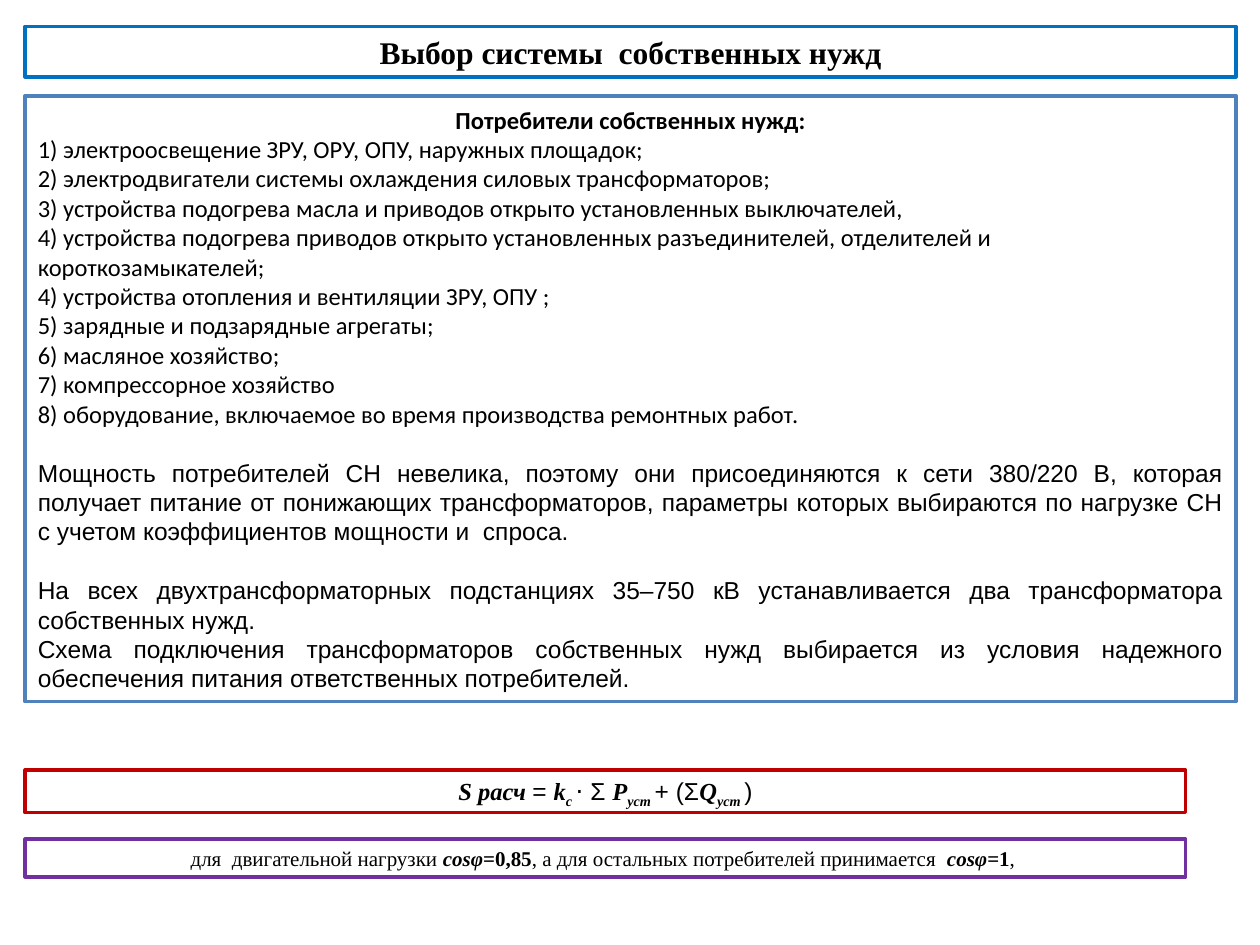
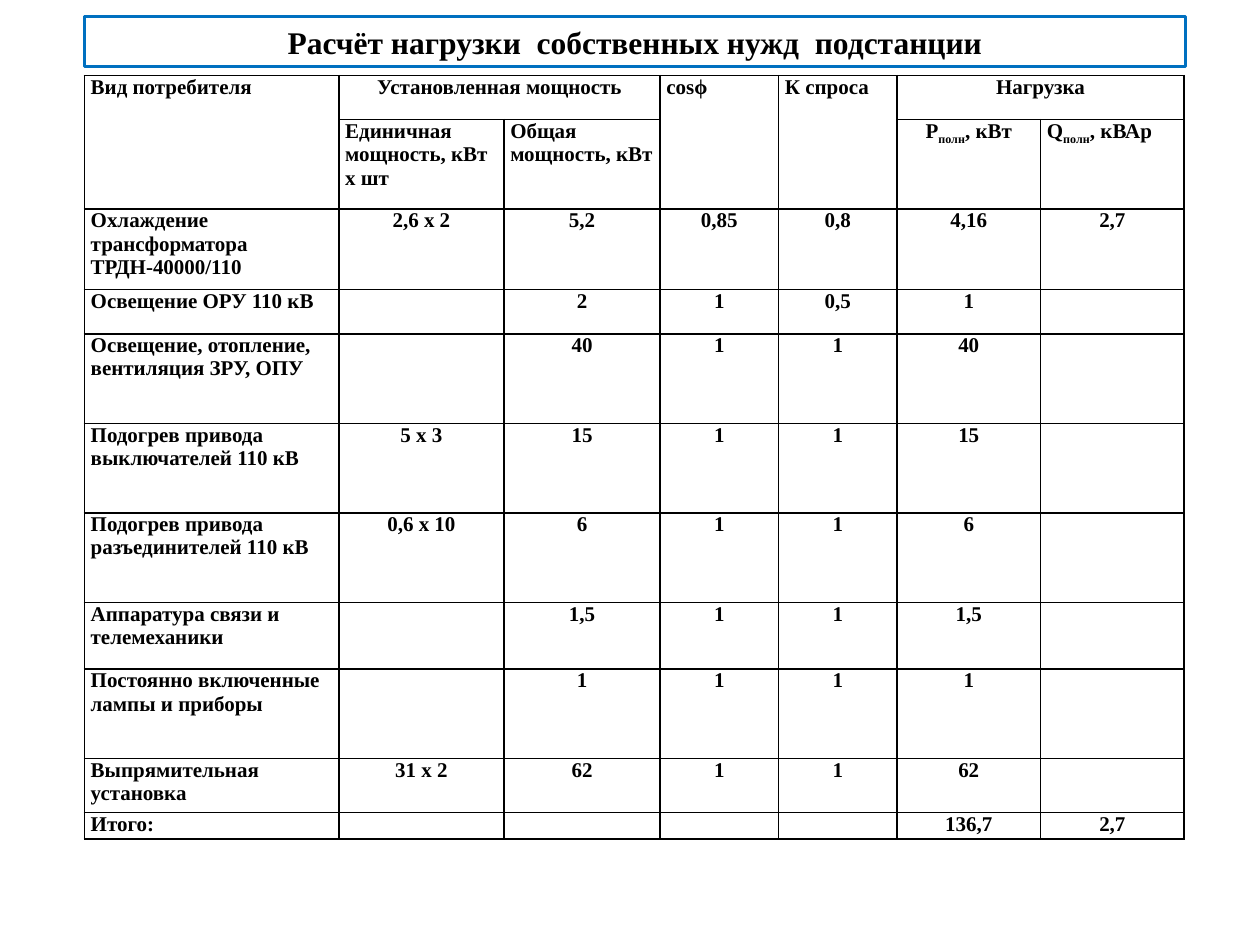
from lxml.etree import SubElement
from pptx import Presentation
from pptx.dml.color import RGBColor
from pptx.enum.text import MSO_ANCHOR, MSO_AUTO_SIZE, PP_ALIGN
from pptx.oxml.ns import qn
from pptx.util import Inches, Pt

WIDTH, HEIGHT = Inches(10), Inches(7.5)
BLACK = RGBColor(0, 0, 0)
TITLE_BLUE = RGBColor(0x00, 0x70, 0xC0)
BODY_BLUE = RGBColor(0x4F, 0x81, 0xBD)
RED = RGBColor(0xC0, 0x00, 0x00)
PURPLE = RGBColor(0x70, 0x30, 0xA0)
SERIF, SANS, LIST_FONT = "Times New Roman", "Arial", "Calibri"
LEFT, CENTER, JUSTIFY = PP_ALIGN.LEFT, PP_ALIGN.CENTER, PP_ALIGN.JUSTIFY
BODY_LINE = Pt(16.8)

CONSUMERS = [
    "1) электроосвещение ЗРУ, ОРУ, ОПУ, наружных площадок;",
    "2) электродвигатели системы охлаждения силовых трансформаторов;",
    "3) устройства подогрева масла и приводов открыто установленных выключателей,",
    "4) устройства подогрева приводов открыто установленных разъединителей, "
    "отделителей и короткозамыкателей;",
    "4) устройства отопления и вентиляции ЗРУ, ОПУ ;",
    "5) зарядные и подзарядные агрегаты;",
    "6) масляное хозяйство;",
    "7) компрессорное хозяйство",
    "8) оборудование, включаемое во время производства ремонтных работ.",
]
NOTES = [
    ("Мощность потребителей СН невелика, поэтому они присоединяются к сети 380/220 В, "
     "которая получает питание от понижающих трансформаторов, параметры которых "
     "выбираются по нагрузке СН с учетом коэффициентов мощности и  спроса.", BODY_LINE),
    ("На всех двухтрансформаторных подстанциях 35–750 кВ устанавливается два "
     "трансформатора собственных нужд. ", BODY_LINE),
    ("Схема подключения трансформаторов собственных нужд выбирается из условия "
     "надежного обеспечения питания ответственных потребителей.", 0),
]

SYMBOL = dict(bold=True, italic=True)
INDEX = dict(SYMBOL, sub=True)
SIGN = dict(font=SANS)
FORMULA = [
    ("S расч ", SYMBOL), ("= ", SIGN), ("k", SYMBOL), ("с ", INDEX), ("⋅ Σ ", SIGN),
    ("P", SYMBOL), ("уст ", INDEX), ("+ (Σ", SIGN), ("Q", SYMBOL), ("уст ", INDEX),
    (")", SIGN),
]
POWER_FACTORS = [
    ("для  двигательной нагрузки ", {}), ("cosφ", SYMBOL), ("=0,85", dict(bold=True)),
    (", а для остальных потребителей принимается  ", {}), ("cosφ", SYMBOL),
    ("=1", dict(bold=True)), (", ", {}),
]

COLUMNS = [20.2, 13.1, 12.4, 9.4, 9.4, 11.4, 11.4]
ROWS = [4.67, 9.47, 8.53, 4.67, 9.47, 9.47, 9.47, 7.07, 9.47, 5.73, 2.8]
MERGES = [(0, 0, 1, 0), (0, 1, 0, 2), (0, 3, 1, 3), (0, 4, 1, 4), (0, 5, 0, 6)]
HEADERS = [
    (0, 0, LEFT, ["Вид потребителя"]),
    (0, 1, CENTER, ["Установленная мощность"]),
    (0, 3, LEFT, ["cosϕ"]),
    (0, 4, LEFT, ["К спроса"]),
    (0, 5, CENTER, ["Нагрузка"]),
    (1, 1, LEFT, ["Единичная мощность, кВт х шт"]),
    (1, 2, LEFT, ["Общая мощность, кВт"]),
    (1, 5, CENTER, ["P", "полн", ", кВт"]),
    (1, 6, LEFT, ["Q", "полн", ", кВАр"]),
]
LOADS = [
    ("Охлаждение трансформатора\nТРДН-40000/110", "2,6 х 2", "5,2", "0,85", "0,8", "4,16", "2,7"),
    ("Освещение ОРУ 110 кВ", "", "2", "1", "0,5", "1", ""),
    ("Освещение, отопление, вентиляция ЗРУ, ОПУ", "", "40", "1", "1", "40", ""),
    ("Подогрев привода выключателей 110 кВ", "5 х 3", "15", "1", "1", "15", ""),
    ("Подогрев привода разъединителей 110 кВ", "0,6 х 10", "6", "1", "1", "6", ""),
    ("Аппаратура связи и телемеханики", "", "1,5", "1", "1", "1,5", ""),
    ("Постоянно включенные лампы и приборы", "", "1", "1", "1", "1", ""),
    ("Выпрямительная установка", "31 х 2", "62", "1", "1", "62", ""),
    ("Итого:", "", "", "", "", "136,7", "2,7"),
]


def across(percent):
    return round(WIDTH * percent / 100)


def down(percent):
    return round(HEIGHT * percent / 100)


def box(left, top, width, height):
    return across(left), down(top), across(width), down(height)


def write(p, text, font=SERIF, size=14, bold=False, italic=False, sub=False):
    for i, line in enumerate(text.split("\n")):
        if i:
            p.add_line_break()
        r = p.add_run()
        r.text = line
        r.font.name, r.font.size = font, Pt(size)
        r.font.bold, r.font.italic = bold, italic
        r.font.color.rgb = BLACK
        if sub:
            r.font._element.set("baseline", "-25000")


def frame(sp, area, color, anchor=MSO_ANCHOR.TOP):
    sp.left, sp.top, sp.width, sp.height = area
    sp.fill.background()
    sp.line.color.rgb = color
    sp.line.width = Pt(2)
    tf = sp.text_frame
    tf.word_wrap = True
    tf.auto_size = MSO_AUTO_SIZE.NONE
    tf.vertical_anchor = anchor
    return tf


def add_title(slide, text, area):
    p = frame(slide.shapes.title, area, TITLE_BLUE).paragraphs[0]
    p.alignment = CENTER
    write(p, text, size=18, bold=True)


def add_body(slide, area):
    tf = frame(slide.placeholders[1], area, BODY_BLUE, MSO_ANCHOR.MIDDLE)
    lines = [("Потребители собственных нужд:", CENTER, 0, dict(font=LIST_FONT, bold=True))]
    lines += [(text, LEFT, 0, dict(font=LIST_FONT)) for text in CONSUMERS]
    lines += [(text, JUSTIFY, gap, dict(font=SANS)) for text, gap in NOTES]
    for i, (text, align, gap, style) in enumerate(lines):
        p = tf.add_paragraph() if i else tf.paragraphs[0]
        p.alignment, p.space_before, p.line_spacing = align, gap, BODY_LINE
        pPr = p._p.get_or_add_pPr()
        pPr.set("marL", "0")
        pPr.set("indent", "0")
        SubElement(pPr, qn("a:buNone"))
        write(p, text, **style)


def add_caption(slide, runs, area, color, size):
    p = frame(slide.shapes.add_textbox(*area), area, color).paragraphs[0]
    p.alignment = CENTER
    for text, style in runs:
        write(p, text, size=size, **style)


def format_cell(cell):
    cell.margin_left = cell.margin_right = Inches(0.05)
    cell.margin_top = cell.margin_bottom = 0
    tcPr = cell._tc.get_or_add_tcPr()
    for side in ("lnL", "lnR", "lnT", "lnB"):
        ln = SubElement(tcPr, qn(f"a:{side}"), w=str(Pt(1)))
        fill = SubElement(ln, qn("a:solidFill"))
        SubElement(fill, qn("a:srgbClr"), val=str(BLACK))
    cell.fill.background()


def fill_cell(cell, parts, align):
    p = cell.text_frame.paragraphs[0]
    p.alignment = align
    for i, text in enumerate(parts):
        if text:
            write(p, text, size=12, bold=True, sub=i == 1)


def add_load_table(slide, area):
    table = slide.shapes.add_table(len(ROWS), len(COLUMNS), *area).table
    table.first_row = table.horz_banding = False
    for column, width in zip(table.columns, COLUMNS):
        column.width = across(width)
    for row, height in zip(table.rows, ROWS):
        row.height = down(height)
    for cell in table.iter_cells():
        format_cell(cell)
    for top, left, bottom, right in MERGES:
        table.cell(top, left).merge(table.cell(bottom, right))
    for row, col, align, parts in HEADERS:
        fill_cell(table.cell(row, col), parts, align)
    for row, values in enumerate(LOADS, 2):
        for col, value in enumerate(values):
            fill_cell(table.cell(row, col), [value], CENTER if col else LEFT)
    for cell in table.iter_cells():
        SubElement(cell.text_frame.paragraphs[0]._p, qn("a:endParaRPr"), sz="1200")


def main():
    prs = Presentation()
    prs.slide_width, prs.slide_height = WIDTH, HEIGHT

    slide = prs.slides.add_slide(prs.slide_layouts[1])
    add_title(slide, "Выбор системы  собственных нужд", box(2, 2.8, 96.1, 5.33))
    add_body(slide, box(2, 10.13, 96.1, 64.13))
    add_caption(slide, FORMULA, box(2, 81.47, 92.1, 4.53), RED, 14)
    add_caption(slide, POWER_FACTORS, box(2, 88.8, 92.1, 4), PURPLE, 12)

    slide = prs.slides.add_slide(prs.slide_layouts[5])
    add_load_table(slide, box(6.7, 8, 87.4, 80.8))
    add_title(slide, "Расчёт нагрузки  собственных нужд  подстанции",
              box(6.7, 1.73, 87.4, 5.33))

    prs.save("out.pptx")


if __name__ == "__main__":
    main()
